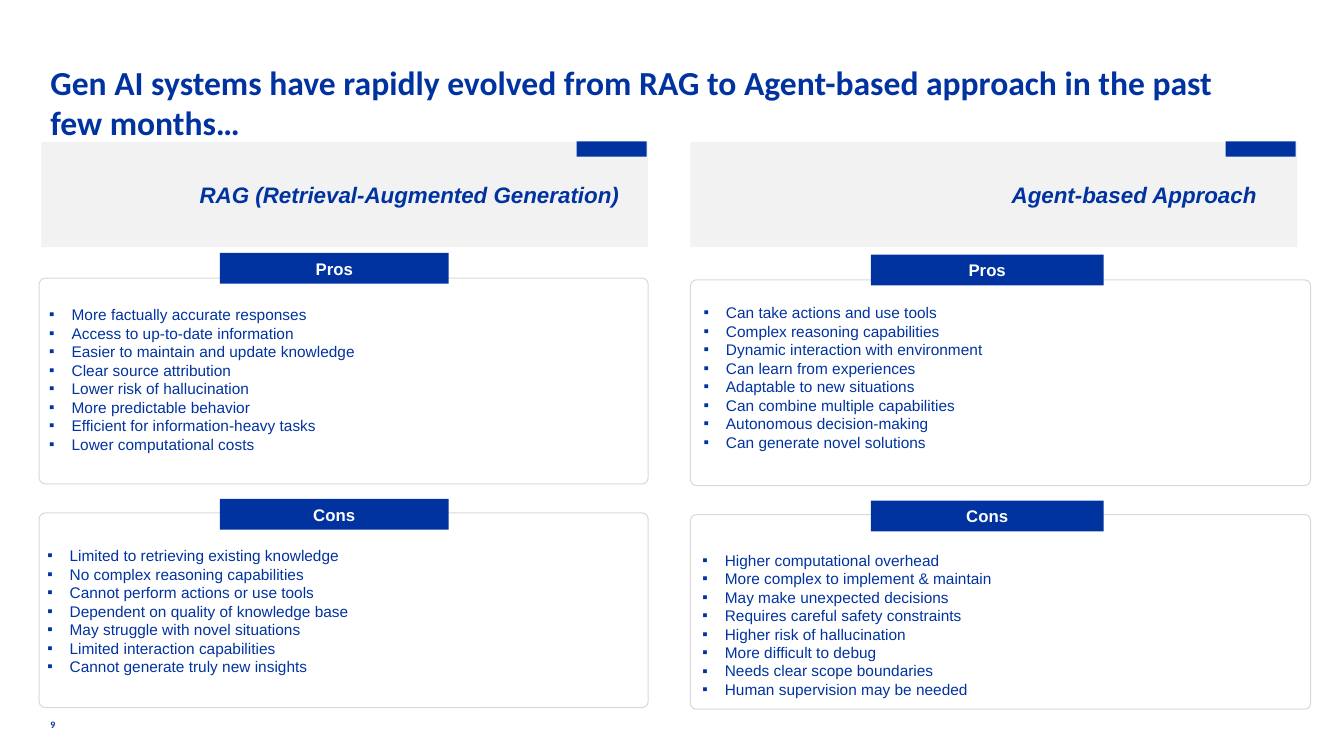
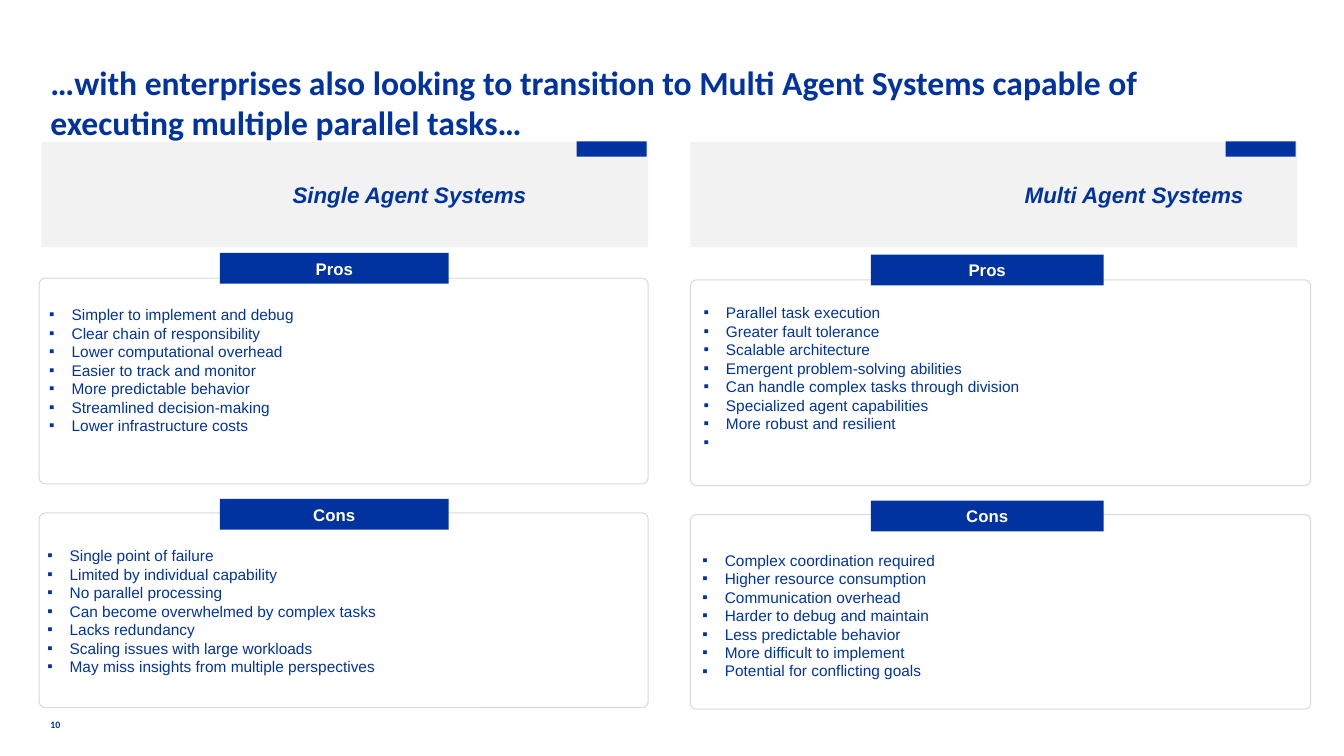
from dataclasses import dataclass

from lxml import etree
from pptx import Presentation
from pptx.dml.color import RGBColor
from pptx.enum import shapes, text
from pptx.oxml import ns
from pptx.util import Pt


@dataclass(frozen=True)
class Theme:
    blue: str = "0033A0"
    grey: str = "F2F2F2"
    border: str = "D9D9D9"
    white: str = "FFFFFF"
    title_font: str = "Calibri"
    body_font: str = "Arial"
    title_size: int = 24
    header_size: int = 16
    tab_size: int = 12
    body_size: int = 11
    number_size: int = 7


@dataclass(frozen=True)
class Column:
    band_x: float
    header_inset: float
    accent_x: float
    panel_x: float
    panel_w: float
    tab_x: float
    tab_w: float
    drop: float
    lists: tuple


T = Theme()
ALIGN = text.PP_ALIGN
ANCHOR = text.MSO_ANCHOR
SHAPE = shapes.MSO_SHAPE
BULLET_INDENT = 16
TAB_RISE, TAB_H = 18, 22
PANELS = (("Pros", 198.7, 147), ("Cons", 366.4, 139))

COLUMNS = (
    Column(29.5, 101, 412, 28, 435, 157, 163.5, 0,
           ((26.6, 213.8, 428), (25.2, 386, 437))),
    Column(493.2, 209, 875.5, 493.2, 443, 622, 166.3, 1.2,
           ((494, 212.4, 435), (493.2, 389, 443))),
)

SLIDES = (
    (9, "Gen AI systems have rapidly evolved from RAG to Agent-based approach "
        "in the past few months…", (
        ("RAG (Retrieval-Augmented Generation)", (
            ("More factually accurate responses",
             "Access to up-to-date information",
             "Easier to maintain and update knowledge",
             "Clear source attribution",
             "Lower risk of hallucination",
             "More predictable behavior",
             "Efficient for information-heavy tasks",
             "Lower computational costs"),
            ("Limited to retrieving existing knowledge",
             "No complex reasoning capabilities",
             "Cannot perform actions or use tools",
             "Dependent on quality of knowledge base",
             "May struggle with novel situations",
             "Limited interaction capabilities",
             "Cannot generate truly new insights"))),
        ("Agent-based Approach", (
            ("Can take actions and use tools",
             "Complex reasoning capabilities",
             "Dynamic interaction with environment",
             "Can learn from experiences",
             "Adaptable to new situations",
             "Can combine multiple capabilities",
             "Autonomous decision-making",
             "Can generate novel solutions"),
            ("Higher computational overhead",
             "More complex to implement & maintain",
             "May make unexpected decisions",
             "Requires careful safety constraints",
             "Higher risk of hallucination",
             "More difficult to debug",
             "Needs clear scope boundaries",
             "Human supervision may be needed"))))),
    (10, "…with enterprises also looking to transition to Multi Agent Systems "
         "capable of executing multiple parallel tasks…", (
        ("Single Agent Systems", (
            ("Simpler to implement and debug",
             "Clear chain of responsibility",
             "Lower computational overhead",
             "Easier to track and monitor",
             "More predictable behavior",
             "Streamlined decision-making",
             "Lower infrastructure costs"),
            ("Single point of failure",
             "Limited by individual capability",
             "No parallel processing",
             "Can become overwhelmed by complex tasks",
             "Lacks redundancy",
             "Scaling issues with large workloads",
             "May miss insights from multiple perspectives"))),
        ("Multi Agent Systems", (
            ("Parallel task execution",
             "Greater fault tolerance",
             "Scalable architecture",
             "Emergent problem-solving abilities",
             "Can handle complex tasks through division",
             "Specialized agent capabilities",
             "More robust and resilient",
             " "),
            ("Complex coordination required",
             "Higher resource consumption",
             "Communication overhead",
             "Harder to debug and maintain",
             "Less predictable behavior",
             "More difficult to implement",
             "Potential for conflicting goals"))))),
)


def add_bullet(p):
    pPr = p._p.get_or_add_pPr()
    pPr.set("marL", str(Pt(BULLET_INDENT)))
    pPr.set("indent", str(-Pt(BULLET_INDENT)))
    etree.SubElement(pPr, ns.qn("a:buFont"), typeface=T.body_font)
    etree.SubElement(pPr, ns.qn("a:buChar"), char="▪")


def write(sp, lines, *, size, font=T.body_font, color=T.blue, bold=False,
          italic=False, align=ALIGN.LEFT, anchor=ANCHOR.TOP,
          insets=(0, 0, 0, 0), bullets=False, wrap=True):
    tf = sp.text_frame
    tf.word_wrap = wrap
    tf.vertical_anchor = anchor
    (tf.margin_left, tf.margin_top,
     tf.margin_right, tf.margin_bottom) = map(Pt, insets)
    for i, line in enumerate([lines] if isinstance(lines, str) else lines):
        p = tf.add_paragraph() if i else tf.paragraphs[0]
        p.alignment = align
        if bullets:
            add_bullet(p)
        r = p.add_run()
        r.text = line
        r.font.name, r.font.size = font, Pt(size)
        r.font.bold, r.font.italic = bold, italic
        r.font.color.rgb = RGBColor.from_string(color)


def add_text(slide, box, lines, **fmt):
    write(slide.shapes.add_textbox(*map(Pt, box)), lines, **fmt)


def add_block(slide, box, fill, line=None, kind=SHAPE.RECTANGLE):
    sp = slide.shapes.add_shape(kind, *map(Pt, box))
    sp.shadow.inherit = False
    sp.fill.solid()
    sp.fill.fore_color.rgb = RGBColor.from_string(fill)
    if line:
        sp.line.color.rgb = RGBColor.from_string(line)
        sp.line.width = Pt(0.75)
    else:
        sp.line.fill.background()
    return sp


def add_header(slide, col, heading):
    band = add_block(slide, (col.band_x, 101.5, 433.5, 75), T.grey)
    write(band, heading, size=T.header_size, bold=True, italic=True,
          align=ALIGN.CENTER, anchor=ANCHOR.MIDDLE,
          insets=(col.header_inset, 4, 8.6, 4))
    add_block(slide, (col.accent_x, 101, 50, 11), T.blue)


def add_panel(slide, col, label, top, height, list_box, items):
    top += col.drop
    panel = add_block(slide, (col.panel_x, top, col.panel_w, height),
                      T.white, T.border, SHAPE.ROUNDED_RECTANGLE)
    panel.adjustments[0] = 0.03
    tab = add_block(slide, (col.tab_x, top - TAB_RISE if label == "Pros" else top - 10,
                            col.tab_w, TAB_H), T.blue)
    write(tab, label, size=T.tab_size, color=T.white, bold=True,
          align=ALIGN.CENTER, anchor=ANCHOR.MIDDLE, insets=(7, 3.6, 7, 3.6))
    add_text(slide, (*list_box, 115), items, size=T.body_size, bullets=True,
             align=ALIGN.JUSTIFY, insets=(8.6, 4.3, 8.6, 4.3))


def add_comparison(prs, number, title, sides):
    slide = prs.slides.add_slide(prs.slide_layouts[6])
    add_text(slide, (36, 44, 851, 24.5), title, size=T.title_size,
             font=T.title_font, bold=True)
    add_text(slide, (36, 507, 28, 15), str(number), size=T.number_size,
             font=T.title_font, bold=True, anchor=ANCHOR.BOTTOM, wrap=False)
    for col, (heading, lists) in zip(COLUMNS, sides):
        add_header(slide, col, heading)
        for panel, list_box, items in zip(PANELS, col.lists, lists):
            add_panel(slide, col, *panel, list_box, items)


def main():
    prs = Presentation()
    prs.slide_width, prs.slide_height = Pt(960), Pt(540)
    for content in SLIDES:
        add_comparison(prs, *content)
    prs.save("out.pptx")


if __name__ == "__main__":
    main()
